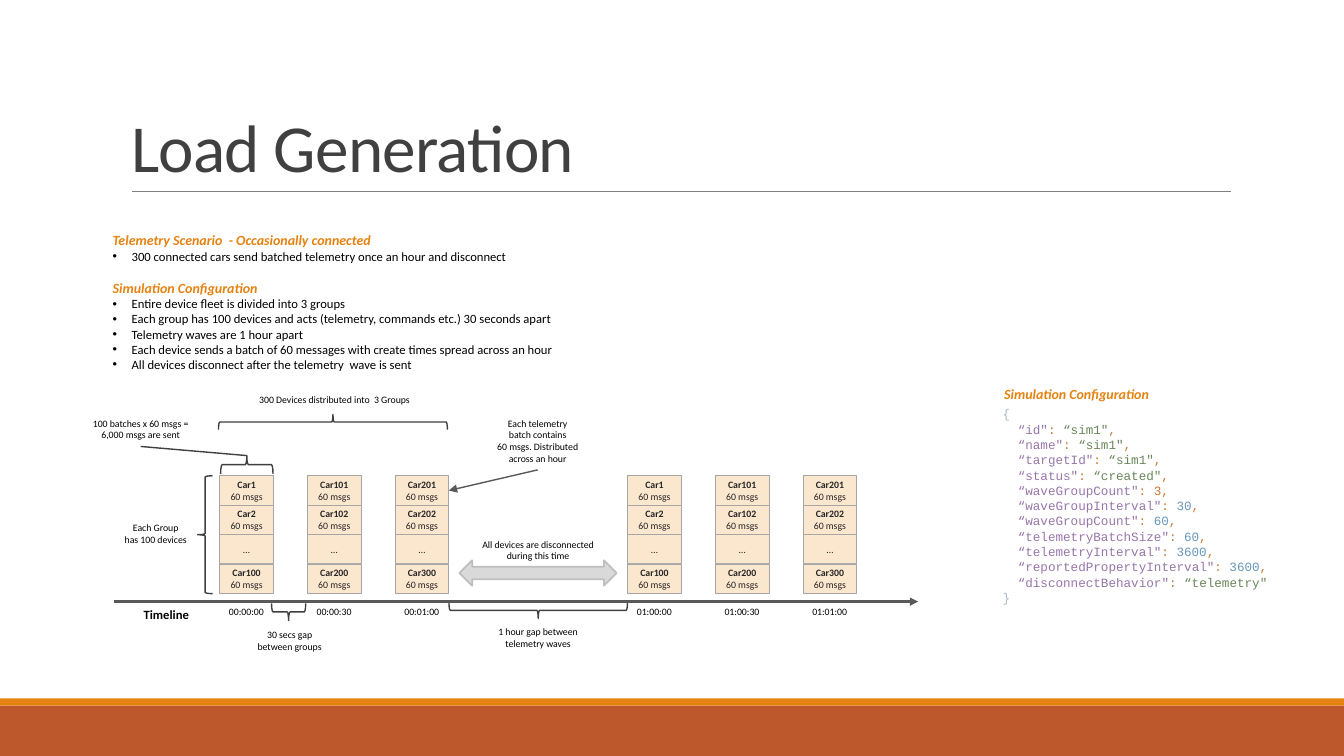
"""Builds the Load Generation slide with its telemetry wave timeline."""
from lxml import etree
from pptx import Presentation
from pptx.dml.color import RGBColor
from pptx.enum.shapes import MSO_CONNECTOR, MSO_SHAPE
from pptx.enum.text import MSO_ANCHOR, MSO_AUTO_SIZE, PP_ALIGN
from pptx.oxml.ns import qn
from pptx.util import Cm, Pt

RECTANGLE = MSO_SHAPE.RECTANGLE
LEFT_BRACE = MSO_SHAPE.LEFT_BRACE
DOUBLE_ARROW = MSO_SHAPE.LEFT_RIGHT_ARROW
STRAIGHT = MSO_CONNECTOR.STRAIGHT
LEFT, CENTER = PP_ALIGN.LEFT, PP_ALIGN.CENTER
MIDDLE, BOTTOM = MSO_ANCHOR.MIDDLE, MSO_ANCHOR.BOTTOM
NO_FIT = MSO_AUTO_SIZE.NONE

ORANGE, RUST, BLACK = "E48312", "BD582C", "000000"
DARK, GRAY, INK = "404040", "595959", "262626"
KEY, MARK, STRING, NUMBER, BRACKET = "9876AA", "CC7832", "6A8759", "6897BB", "A9B7C6"


def add_span(para, text, size, color, bold=False, italic=False, font="Calibri"):
    span = para.add_run()
    span.text = text
    span.font.size = Pt(size)
    span.font.name = font
    span.font.bold = bold
    span.font.italic = italic
    span.font.color.rgb = RGBColor.from_string(color)
    return span


def add_figure(kind, place, fill=None, line=None, width=1.0):
    figure = page.shapes.add_shape(kind, *map(Cm, place))
    figure.shadow.inherit = False
    if fill:
        figure.fill.solid()
        figure.fill.fore_color.rgb = RGBColor.from_string(fill)
    else:
        figure.fill.background()
    if line:
        figure.line.color.rgb = RGBColor.from_string(line)
        figure.line.width = Pt(width)
    else:
        figure.line.fill.background()
    return figure


deck = Presentation()
deck.slide_width, deck.slide_height = Cm(33.87), Cm(19.05)
page = deck.slides.add_slide(deck.slide_layouts[5])

add_figure(RECTANGLE, (0, 17.78, 33.87, 1.27), RUST)
add_figure(RECTANGLE, (0, 17.6, 33.87, 0.18), ORANGE)

title = page.shapes.title
title.left, title.top, title.width, title.height = map(Cm, (3.05, 0.79, 27.94, 4.04))
title.text_frame.auto_size = NO_FIT
title.text_frame.vertical_anchor = BOTTOM
para = title.text_frame.paragraphs[0]
para.alignment = LEFT
para.line_spacing = 0.85
span = add_span(para, "Load Generation", 48, DARK)
span.font._element.set("spc", "-50")

cars = [
    ("Car1", "Car2", "…", "Car100"),
    ("Car101", "Car102", "…", "Car200"),
    ("Car201", "Car202", "…", "Car300"),
]
waves = [
    (5.54, ("00:00:00", "00:00:30", "00:01:00")),
    (15.82, ("01:00:00", "01:00:30", "01:01:00")),
]
labels = [
    ("Timeline", (3.35, 15.16, 1.68, 0.64), 9, BLACK, False),
    ("Each Group\nhas 100 devices", (2.87, 13.03, 2.11, 0.86), 7, BLACK, False),
    ("300 Devices distributed into  3 Groups", (5.56, 9.8, 5.74, 0.56), 7, BLACK, False),
    ("30 secs gap\nbetween groups", (6.22, 15.72, 2.16, 0.86), 7, BLACK, False),
    ("1 hour gap between\ntelemetry waves", (12.29, 15.65, 2.54, 0.86), 7, BLACK, False),
    ("Each telemetry\nbatch contains\n60 msgs. Distributed across an hour",
     (12.14, 10.39, 2.82, 1.45), 7, BLACK, True),
    ("All devices are disconnected during this time",
     (11.66, 13.44, 3.8, 0.86), 7, BLACK, True),
    ("100 batches x 60 msgs = 6,000 msgs are sent",
     (2.06, 10.39, 2.97, 0.86), 7, BLACK, True),
    ("Simulation Configuration", (25.02, 9.58, 4.22, 0.69), 10, ORANGE, False),
]

boxes = {}
for wave_left, times in waves:
    for column, (names, time) in enumerate(zip(cars, times)):
        left = wave_left + 2.21 * column
        labels.append((time, (left - 0.03, 15.14, 1.4, 0.56), 7, BLACK, False))
        for row, name in enumerate(names):
            box = add_figure(RECTANGLE, (left, 11.99 + 0.74 * row, 1.35, 0.74),
                             "FBE6CE", "A6A6A6", 0.5)
            frame = box.text_frame
            frame.margin_left = frame.margin_right = 0
            frame.margin_top = frame.margin_bottom = 0
            frame.vertical_anchor = MIDDLE
            para = frame.paragraphs[0]
            para.alignment = CENTER
            add_span(para, name, 7, INK, bold=name != "…")
            if name != "…":
                para = frame.add_paragraph()
                para.alignment = CENTER
                add_span(para, "60 msgs", 7, INK)
            boxes.setdefault(name, box)

braces = [
    ((4.98, 11.99, 0.38, 2.97), 0),
    ((8.2, 7.75, 0.38, 5.77), 90),
    ((7.06, 14.99, 0.43, 0.86), 270),
    ((13.36, 13.13, 0.41, 4.5), 270),
    ((5.99, 11.05, 0.46, 1.32), 90),
]
for place, turn in braces:
    add_figure(LEFT_BRACE, place, line=DARK).rotation = turn
add_figure(DOUBLE_ARROW, (11.58, 14.12, 3.96, 0.64), "D9D9D9", "BFBFBF", 1.25)

for text, place, size, color, wrap in labels:
    box = page.shapes.add_textbox(*map(Cm, place))
    frame = box.text_frame
    frame.word_wrap = wrap
    for number, line in enumerate(text.split("\n")):
        para = frame.add_paragraph() if number else frame.paragraphs[0]
        para.alignment = CENTER
        add_span(para, line, size, color, bold=size > 7, italic=color == ORANGE)
    boxes[text.split("\n")[0]] = box

scenario = [
    ("Telemetry Scenario  - Occasionally connected", [
        "300 connected cars send batched telemetry once an hour and disconnect",
    ]),
    ("Simulation Configuration", [
        "Entire device fleet is divided into 3 groups",
        "Each group has 100 devices and acts (telemetry, commands etc.) 30 seconds apart",
        "Telemetry waves are 1 hour apart",
        "Each device sends a batch of 60 messages with create times spread across an hour",
        "All devices disconnect after the telemetry  wave is sent",
    ]),
]
frame = page.shapes.add_textbox(Cm(2.59), Cm(5.72), Cm(17.98), Cm(3.81)).text_frame
frame.word_wrap = True
for number, (heading, points) in enumerate(scenario):
    para = frame.add_paragraph() if number else frame.paragraphs[0]
    para.space_before = Pt(11 * number)
    add_span(para, heading, 10, ORANGE, bold=True, italic=True)
    for point in points:
        para = frame.add_paragraph()
        add_span(para, point, 9, BLACK)
        properties = para._p.get_or_add_pPr()
        properties.set("marL", str(Cm(0.48)))
        properties.set("indent", str(-Cm(0.48)))
        etree.SubElement(properties, qn("a:buFont")).set("typeface", "Arial")
        etree.SubElement(properties, qn("a:buChar")).set("char", "•")

settings = [
    ("id", "“sim1\"", STRING),
    ("name", "“sim1\"", STRING),
    ("targetId", "“sim1\"", STRING),
    ("status", "“created\"", STRING),
    ("waveGroupCount", "3", MARK),
    ("waveGroupInterval", "30", NUMBER),
    ("waveGroupCount", "60", NUMBER),
    ("telemetryBatchSize", "60", NUMBER),
    ("telemetryInterval", "3600", NUMBER),
    ("reportedPropertyInterval", "3600", NUMBER),
    ("disconnectBehavior", "“telemetry\"", STRING),
]
code = [[("{", BRACKET)]]
for key, value, color in settings:
    code.append([(f"“{key}\"", KEY), (": ", MARK), (value, color), (",", MARK)])
code[-1].pop()
code.append([("}", BRACKET)])
frame = page.shapes.add_textbox(Cm(25.02), Cm(10.11), Cm(7.34), Cm(5.26)).text_frame
frame.word_wrap = True
frame.vertical_anchor = MIDDLE
for number, parts in enumerate(code):
    para = frame.add_paragraph() if number else frame.paragraphs[0]
    para.line_spacing = Pt(10.9)
    if len(parts) > 1:
        para._p.get_or_add_pPr().set("marL", str(Cm(0.38)))
    for text, color in parts:
        add_span(para, text, 9, color, font="Courier New")

batches, message_note = boxes["100 batches x 60 msgs = 6,000 msgs are sent"], boxes["Each telemetry"]
lines = [
    ((3.33, 4.83, 31.01, 4.83), "808080", 0.5, False, None, None),
    ((2.87, 15.16, 23.14, 15.16), GRAY, 2, True, None, None),
    ((13.56, 11.84, 11.28, 12.34), GRAY, 1, True, message_note, boxes["Car201"]),
    ((3.56, 11.23, 6.22, 11.48), DARK, 1, False, batches, None),
]
for ends, color, width, arrow, source, target in lines:
    line = page.shapes.add_connector(STRAIGHT, *map(Cm, ends))
    line.line.color.rgb = RGBColor.from_string(color)
    line.line.width = Pt(width)
    if arrow:
        etree.SubElement(line.line._get_or_add_ln(), qn("a:tailEnd")).set("type", "triangle")
    etree.SubElement(line._element.spPr, qn("a:effectLst"))
    if source:
        line.begin_connect(source, 2)
    if target:
        line.end_connect(target, 3)

deck.save("out.pptx")
